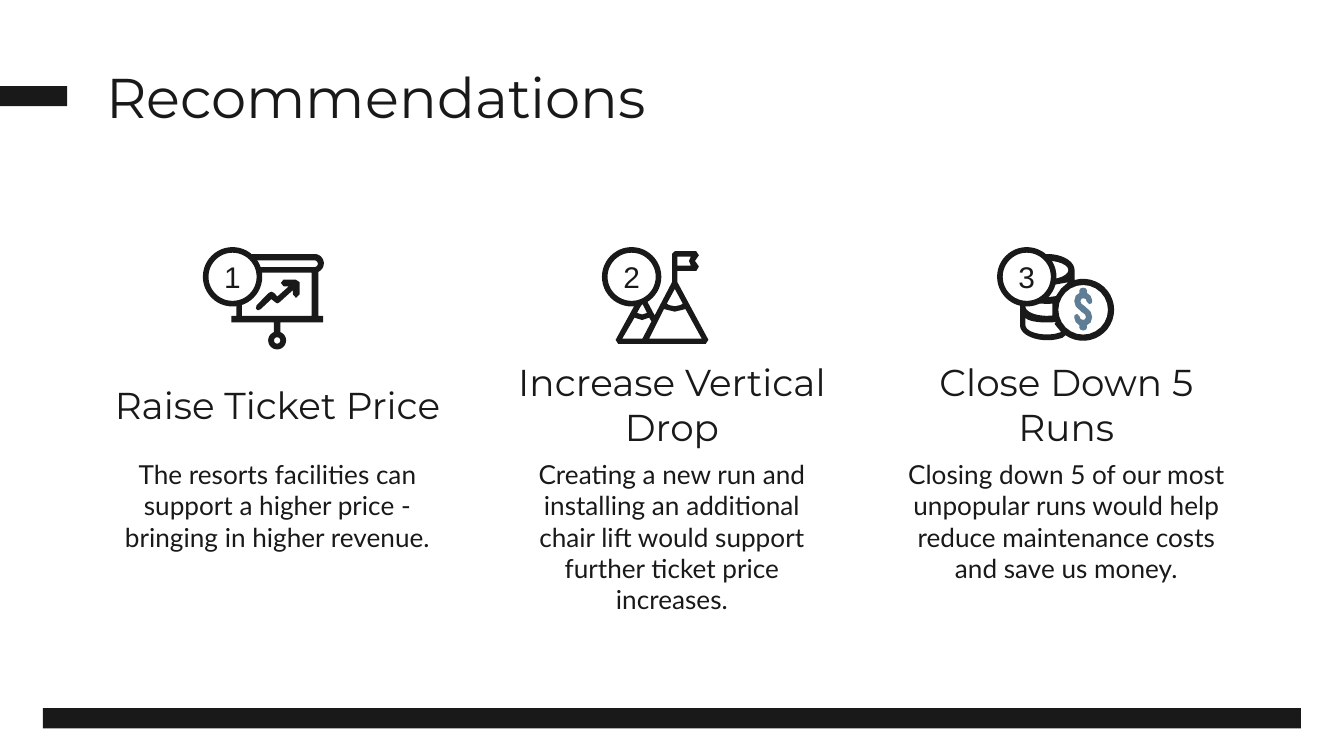
from math import cos, radians, sin

from pptx import Presentation
from pptx.dml.color import RGBColor
from pptx.enum.shapes import MSO_SHAPE
from pptx.enum.text import MSO_ANCHOR, PP_ALIGN
from pptx.util import Pt

RECT, OVAL = MSO_SHAPE.RECTANGLE, MSO_SHAPE.OVAL
TOP, MIDDLE = MSO_ANCHOR.TOP, MSO_ANCHOR.MIDDLE
LEFT, CENTER = PP_ALIGN.LEFT, PP_ALIGN.CENTER
INK, WHITE, BLUE = "191919", "FFFFFF", "5F7D95"


def arc(cx, cy, rx, ry, start, end, steps=24):
    """Points along an ellipse; degrees run clockwise from the right."""
    angles = [radians(start + (end - start) * i / steps) for i in range(steps + 1)]
    return [(cx + rx * cos(a), cy + ry * sin(a)) for a in angles]


def coin_band(y, right, end):
    """Gap between two stacked coins, cut off by the front coin at its right."""
    return right + arc(14.4, y + 4.3, 11.5, 5, end, 180) + arc(14.4, y, 11.5, 2.9, 180, end)


# Icon outlines in points from the icon's top left corner; inner contours are holes.
BOARD = [
    arc(5, 5, 5, 5, 90, 270) + arc(45.4, 5, 5, 5, -90, 65)
    + [(47.5, 33.1), (50, 33.1), (50, 36.7), (27.2, 36.7)]
    + arc(25.4, 46.3, 4.8, 4.8, -68, 248)
    + [(23.6, 36.7), (0.9, 36.7), (0.9, 33.1), (3.6, 33.1), (3.6, 10)],
    arc(5.2, 5.2, 1.8, 1.8, 90, 270) + arc(45.4, 5.2, 1.8, 1.8, -90, 90),
    [(6.5, 10), (43.9, 10), (43.9, 33.1), (6.5, 33.1)],
    arc(25.4, 46.3, 1.7, 1.7, 0, 360),
]
TREND = [[
    (28.8, 13.7), (35.3, 13.7), (37.4, 15.1), (37.4, 21.6), (35.5, 23.5), (33.8, 21.6),
    (33.8, 19.4), (26.6, 25.9), (25.5, 26.5), (24.5, 25.9), (22.3, 24.2), (16.6, 29.5),
    (15.1, 30.2), (14, 29.2), (14.4, 27.4), (20.9, 20.9), (22.3, 20.2), (23.8, 20.9),
    (25.5, 22.8), (31.7, 17.3), (28.8, 17.3), (27.4, 15.5),
]]
PEAKS = [
    [(31.7, 0), (30.2, 1.4), (30.2, 16.6), (20.9, 34.4), (15.3, 23.8), (14.2, 23),
     (13, 23.8), (0, 47.5), (1.4, 49.7), (48.2, 49.7), (49.7, 47.5), (33.1, 16.6),
     (33.1, 10.6), (43.2, 10.6), (44.6, 8.2), (42.5, 5.2), (44.6, 2.2), (43.2, 0)],
    [(40.3, 2.9), (39.3, 5.2), (40.3, 7.7), (33.1, 7.7), (33.1, 2.9)],
    [(31.7, 20.2), (36, 28.1), (34.6, 28.9), (31.7, 29.5), (28.8, 28.9), (27.4, 28.1)],
    [(14.4, 28.1), (16.8, 33.1), (14.2, 33.9), (11.5, 33.1), (13, 30.2)],
    [(18, 35.6), (19.2, 37.6), (14.4, 46.8), (3.6, 46.8), (10.1, 35.6), (14.2, 36.9)],
    [(37.4, 31), (46.1, 46.8), (18, 46.8), (22.3, 38.2), (25.9, 31), (31.7, 32.4)],
]
COINS = [
    arc(14.6, 8.6, 14.6, 8.6, 180, 360) + arc(33.8, 29.9, 16.6, 16.6, -106, 125)
    + arc(14.6, 38.2, 14.6, 8, 55, 180),
    arc(33.8, 29.9, 13.3, 13.3, 0, 360),
    arc(14.4, 8.6, 11.5, 5, 0, 360),
    coin_band(13.7, [(25.9, 15.1), (22, 18.5)], 65),
    coin_band(23.8, [(17.3, 30)], 75),
    coin_band(33.8, [(18.5, 37.5), (22, 41.8)], 65),
]
# The sign is unchanged by a half turn, so one side gives both.
SIGN_SIDE = [
    (0, -11.5), (-1.5, -11), (-2, -10), (-2, -8.6), (-4, -7.2), (-4.8, -4.3), (-4, -1.4),
    (-1, 1.4), (1, 2.9), (1.5, 4.3), (0.9, 5.5), (0, 5.8), (-1.4, 5.4), (-1.9, 4),
    (-3.2, 2.6), (-4.6, 3.2), (-4.8, 4.6), (-4, 7), (-2, 8.7), (-2, 10), (-1.5, 11),
]
DOLLAR = [[(33.8 + k * x, 29.5 + k * y) for k in (1, -1) for x, y in SIGN_SIDE]]

TITLE = "Recommendations"
COLUMNS = [
    dict(head="Raise Ticket Price", head_width=184.3, badge_x=110.2, icon_at=(123.1, 136.1),
         body="The resorts facilities can support a higher price - bringing in higher revenue.",
         icon=[(BOARD, INK), (TREND, INK)]),
    dict(head="Increase Vertical Drop", head_width=215.3, badge_x=324, icon_at=(329.8, 134.6),
         body="Creating a new run and installing an additional chair lift would support "
              "further ticket price increases.",
         icon=[(PEAKS, INK)]),
    dict(head="Close Down 5 Runs", head_width=184.3, badge_x=535.7, icon_at=(546.5, 136.1),
         body="Closing down 5 of our most unpopular runs would help reduce maintenance "
              "costs and save us money.",
         icon=[(COINS, INK), (DOLLAR, BLUE)]),
]
BARS = [(0, 46.1, 36, 10.8), (23, 379.4, 674, 10.8)]
BODY_WIDTH, PITCH, MID_X = 184.3, 211.3, 360


def rgb(value):
    return RGBColor.from_string(value)


def write(sp, text, font, size, align=CENTER, anchor=MIDDLE, insets=(0, 0, 0, 0)):
    tf = sp.text_frame
    names = ("margin_left", "margin_top", "margin_right", "margin_bottom")
    frame = dict(zip(names, map(Pt, insets)), word_wrap=True, vertical_anchor=anchor)
    for name, value in frame.items():
        setattr(tf, name, value)
    p = tf.paragraphs[0]
    p.alignment = align
    r = p.add_run()
    r.text = text
    for name, value in dict(name=font, size=Pt(size)).items():
        setattr(r.font, name, value)
    r.font.color.rgb = rgb(INK)


def add_text(s, box, *args, **kwargs):
    write(s.shapes.add_textbox(*map(Pt, box)), *args, **kwargs)


def paint(sp, fill, line=None):
    sp.shadow.inherit = False
    sp.fill.solid()
    sp.fill.fore_color.rgb = rgb(fill)
    if line:
        sp.line.color.rgb = rgb(line)
        sp.line.width = Pt(3)
    else:
        sp.line.fill.background()


def add_outline(s, origin, contours, color):
    builder = None
    for contour in contours:
        first, *rest = [(Pt(origin[0] + x), Pt(origin[1] + y)) for x, y in contour]
        if builder is None:
            builder = s.shapes.build_freeform(*first, scale=1.0)
        else:
            builder.move_to(*first)
        builder.add_line_segments(rest, close=True)
    paint(builder.convert_to_shape(), color)


def main():
    prs = Presentation()
    prs.slide_width, prs.slide_height = Pt(720), Pt(405)
    s = prs.slides.add_slide(prs.slide_layouts[6])
    for bar in BARS:
        paint(s.shapes.add_shape(RECT, *map(Pt, bar)), INK)
    add_text(s, (56.9, 33.8, 607, 36), TITLE, "Montserrat", 30, align=LEFT, anchor=TOP)
    for i, col in enumerate(COLUMNS):
        cx = MID_X + (i - 1) * PITCH
        width = col["head_width"]
        add_text(s, (cx - width / 2, 202.3, width, 28.8), col["head"], "Montserrat", 20)
        add_text(s, (cx - BODY_WIDTH / 2, 241.9, BODY_WIDTH, 57.6), col["body"], "Lato", 14,
                 anchor=TOP, insets=(7.2, 3.6, 7.2, 0))
        for contours, color in col["icon"]:
            add_outline(s, col["icon_at"], contours, color)
        badge = s.shapes.add_shape(OVAL, *map(Pt, (col["badge_x"], 133.9, 28.8, 28.8)))
        paint(badge, WHITE, INK)
        write(badge, str(i + 1), "Arial", 16)
    prs.save("out.pptx")


if __name__ == "__main__":
    main()
